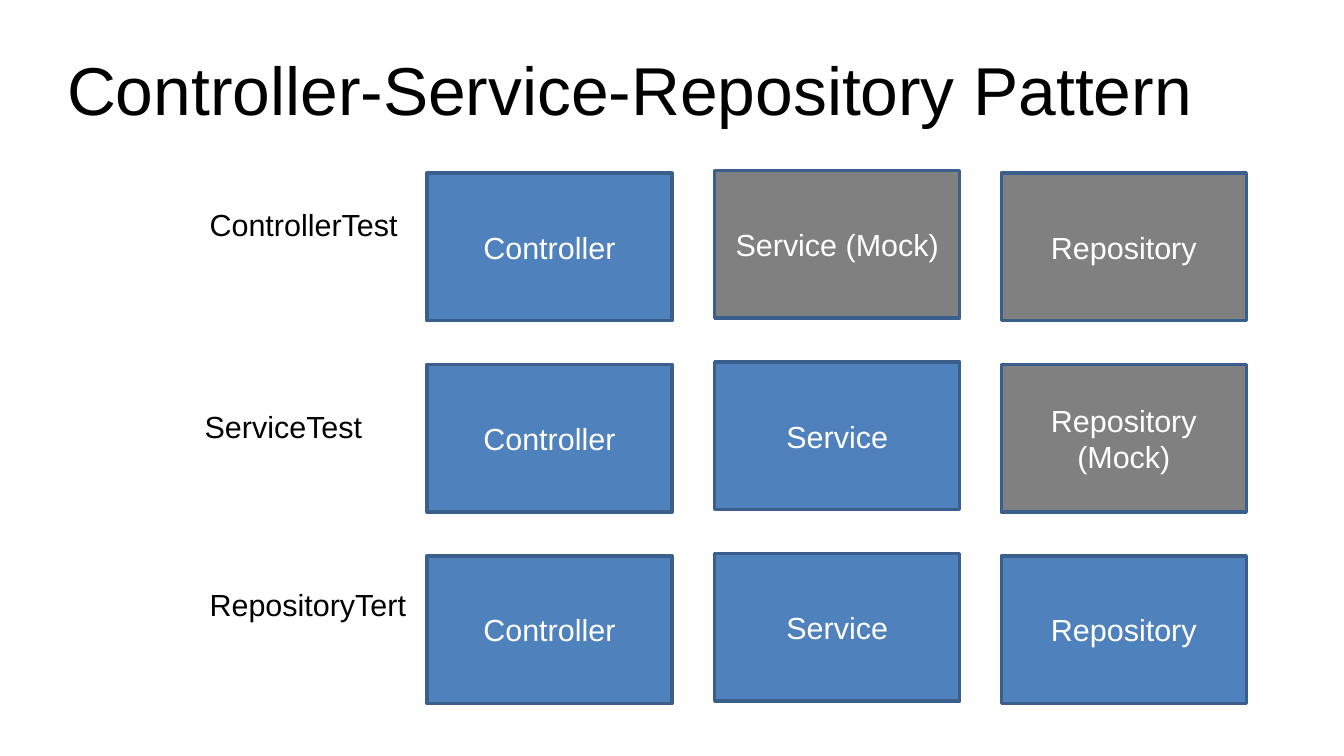
"""Build the Controller-Service-Repository test pattern slide."""
from dataclasses import dataclass

import pptx
import pptx.dml.color
import pptx.enum.shapes
import pptx.enum.text
import pptx.util

Inches = pptx.util.Inches
Align = pptx.enum.text.PP_ALIGN
Anchor = pptx.enum.text.MSO_ANCHOR


@dataclass(frozen=True)
class Theme:
    font: str = "Arial"
    title_size: int = 40
    body_size: int = 18
    line_width: int = 2
    dark: str = "000000"
    light: str = "FFFFFF"
    tested: str = "4F81BD"
    untested: str = "808080"
    outline: str = "3A5F8C"


@dataclass(frozen=True)
class Column:
    left: float
    top: float


@dataclass(frozen=True)
class Layer:
    name: str
    tested: bool = True


@dataclass(frozen=True)
class TestRow:
    label: str
    label_left: float
    label_top: float
    layers: tuple[Layer, ...]


THEME = Theme()
BOX_WIDTH, BOX_HEIGHT, ROW_PITCH = 2.01, 1.21, 1.57
LABEL_HEIGHT = 0.4
COLUMNS = (Column(3.5, 1.42), Column(5.86, 1.4), Column(8.21, 1.42))
TEST_ROWS = (
    TestRow("ControllerTest", 1.62, 1.64,
            (Layer("Controller"), Layer("Service (Mock)", False), Layer("Repository", False))),
    TestRow("ServiceTest", 1.58, 3.3,
            (Layer("Controller"), Layer("Service"), Layer("Repository (Mock)", False))),
    TestRow("RepositoryTert", 1.62, 4.76,
            (Layer("Controller"), Layer("Service"), Layer("Repository"))),
)


def rgb(value: str) -> pptx.dml.color.RGBColor:
    return pptx.dml.color.RGBColor.from_string(value)


def write_text(shape, text: str, *, size: int = THEME.body_size, color: str = THEME.dark,
               align=Align.LEFT, anchor=Anchor.TOP, line_spacing: float = 1.0) -> None:
    frame = shape.text_frame
    frame.word_wrap = True
    frame.vertical_anchor = anchor
    paragraph = frame.paragraphs[0]
    paragraph.alignment = align
    paragraph.line_spacing = line_spacing
    run = paragraph.add_run()
    run.text = text
    run.font.name = THEME.font
    run.font.size = pptx.util.Pt(size)
    run.font.color.rgb = rgb(color)


def draw_title(slide, text: str) -> None:
    shape = slide.shapes.add_textbox(Inches(0.55), Inches(0.25), Inches(9.92), Inches(1.04))
    frame = shape.text_frame
    frame.margin_left = frame.margin_right = frame.margin_top = frame.margin_bottom = Inches(0)
    write_text(shape, text, size=THEME.title_size, anchor=Anchor.MIDDLE, line_spacing=0.9)


def draw_layer(slide, layer: Layer, left: float, top: float) -> None:
    shape = slide.shapes.add_shape(
        pptx.enum.shapes.MSO_SHAPE.RECTANGLE,
        Inches(left), Inches(top), Inches(BOX_WIDTH), Inches(BOX_HEIGHT))
    shape.shadow.inherit = False
    shape.fill.solid()
    shape.fill.fore_color.rgb = rgb(THEME.tested if layer.tested else THEME.untested)
    shape.line.color.rgb = rgb(THEME.outline)
    shape.line.width = pptx.util.Pt(THEME.line_width)
    write_text(shape, layer.name, color=THEME.light, align=Align.CENTER, anchor=Anchor.MIDDLE)


def draw_test_row(slide, row: TestRow, index: int) -> None:
    for column, layer in zip(COLUMNS, row.layers):
        draw_layer(slide, layer, column.left, column.top + index * ROW_PITCH)
    label = slide.shapes.add_textbox(Inches(row.label_left), Inches(row.label_top),
                                     Inches(BOX_WIDTH), Inches(LABEL_HEIGHT))
    write_text(label, row.label)


def main() -> None:
    presentation = pptx.Presentation()
    presentation.slide_width = Inches(11.02)
    presentation.slide_height = Inches(6.2)
    slide = presentation.slides.add_slide(presentation.slide_layouts[6])
    draw_title(slide, "Controller-Service-Repository Pattern")
    for index, row in enumerate(TEST_ROWS):
        draw_test_row(slide, row, index)
    presentation.save("out.pptx")


main()
